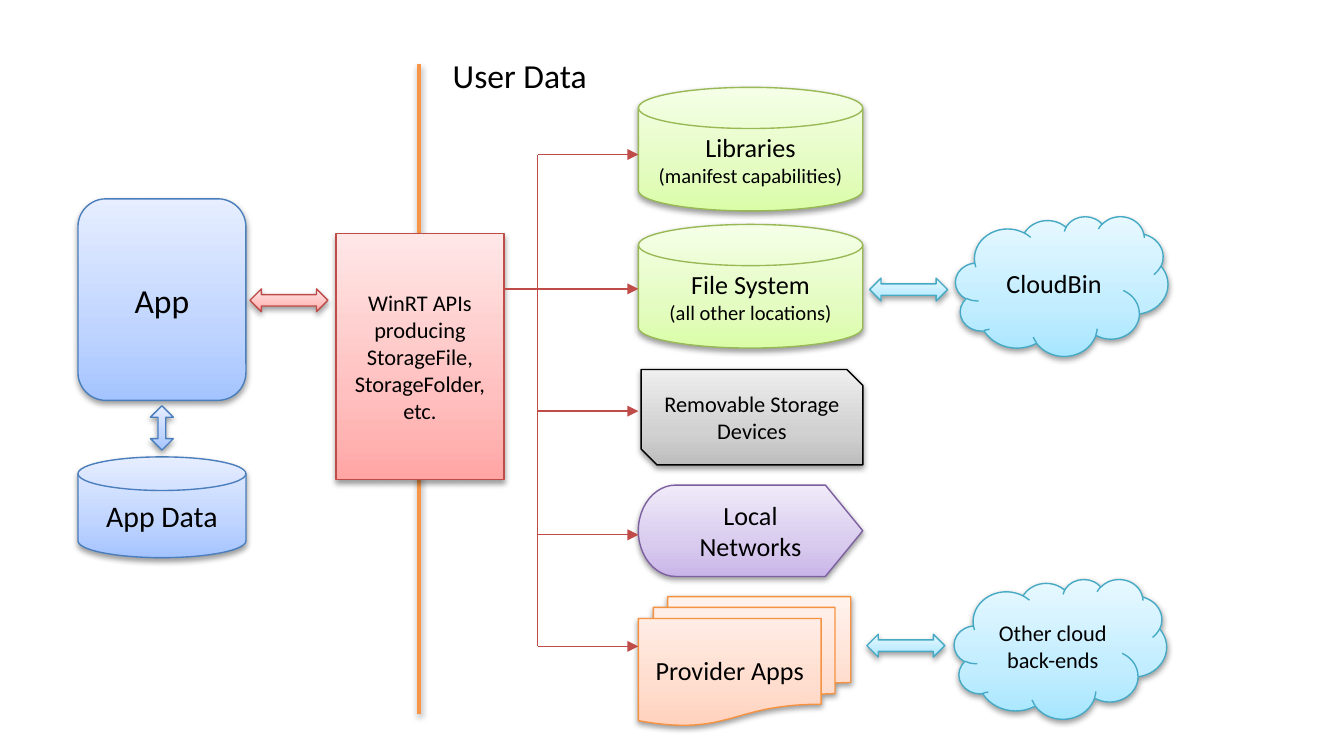
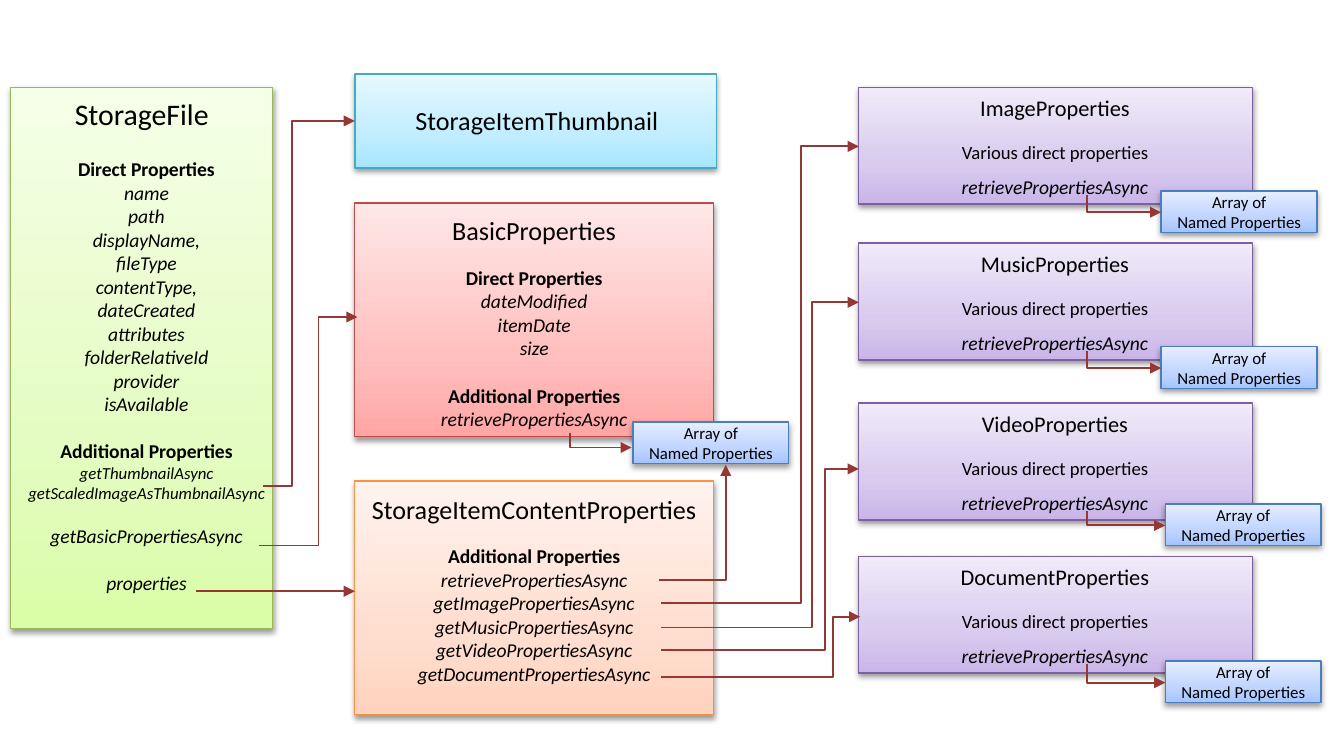
from copy import deepcopy
from dataclasses import dataclass

from lxml.etree import SubElement
from pptx import Presentation
from pptx.dml.color import RGBColor
from pptx.enum.shapes import MSO_CONNECTOR as Link, MSO_SHAPE as Kind
from pptx.enum.text import MSO_ANCHOR as Anchor, MSO_AUTO_SIZE as AutoSize, PP_ALIGN as Align
from pptx.oxml.ns import qn
from pptx.util import Cm, Pt

# Shared look: each theme holds a border and the gradient from bottom to top
FONT = "Calibri"
BLACK = RGBColor(0x00, 0x00, 0x00)
ORANGE_RULE = RGBColor(0xF7, 0x96, 0x46)
RED_LINE = RGBColor(0xBF, 0x4C, 0x48)
DARK_RED = RGBColor(0x95, 0x37, 0x35)
STOPS = (0, 0.35, 1)


def theme(border, *gradient):
    return RGBColor.from_string(border), [RGBColor.from_string(tone) for tone in gradient]


BLUE = theme("4B7EBC", "A4C4FF", "BFD4FF", "E6EEFF")
GREEN = theme("98B955", "DAFDA7", "E4FCC2", "F5FFE7")
RED = theme("BF4C48", "FFA6A5", "FFC0BF", "FFE7E7")
CYAN = theme("46AAC5", "A7E6FF", "C1EDFF", "E7F8FF")
ORANGE = theme("F69240", "FFD2BD", "FFDED0", "FFF2ED")
PURPLE = theme("7D60A0", "C9B5E8", "D8CBEE", "F0EAF9")
GREY = theme("000000", "BDBDBD", "D1D1D1", "EEEEEE")


@dataclass
class Line:
    text: str
    size: float = 10.5
    bold: bool = False
    italic: bool = False
    before: float = 0


def inches(*values):
    """Turn layout units (inches) into lengths."""
    return [Cm(value * 2.54) for value in values]


def italics(names, size=10.5):
    return [Line(name, size, italic=True) for name in names.split()]


# Text
def write(frame, lines, align=Align.CENTER):
    frame.word_wrap = True
    for index, line in enumerate(lines):
        para = frame.paragraphs[0] if index == 0 else frame.add_paragraph()
        para.text = line.text
        para.alignment = align
        para.space_before = Pt(line.before)
        font = para.runs[0].font
        font.name, font.size = FONT, Pt(line.size)
        font.bold, font.italic = line.bold, line.italic
        font.color.rgb = BLACK


def add_text(shapes, at, lines, align=Align.CENTER):
    box = shapes.add_textbox(*inches(*at))
    write(box.text_frame, lines, align)
    box.text_frame.auto_size = AutoSize.SHAPE_TO_FIT_TEXT
    return box


# Shapes
def add_shadow(effects):
    shadow = SubElement(effects, qn("a:outerShdw"), blurRad="40000", dist="20000",
                        dir="5400000", rotWithShape="0")
    color = SubElement(shadow, qn("a:srgbClr"), val="000000")
    SubElement(color, qn("a:alpha"), val="38000")


def add_block(shapes, kind, at, colors, lines=()):
    block = shapes.add_shape(kind, *inches(*at))
    border, gradient = colors
    block.fill.gradient()
    block.fill.gradient_angle = 90
    properties = block._element.spPr
    stop_list = properties.find(qn("a:gradFill")).find(qn("a:gsLst"))
    stop_list.append(deepcopy(stop_list[-1]))
    for stop, position, tone in zip(block.fill.gradient_stops, STOPS, gradient):
        stop.position = position
        stop.color.rgb = tone
    block.line.color.rgb = border
    block.line.width = Pt(0.75)
    block.shadow.inherit = False
    add_shadow(properties.find(qn("a:effectLst")))
    block.text_frame.vertical_anchor = Anchor.MIDDLE
    if lines:
        write(block.text_frame, lines)
    return block


def add_card(shapes, at, colors, *texts):
    """A grouped box with its text boxes, given as (place, lines)."""
    group = shapes.add_group_shape()
    add_block(group.shapes, Kind.RECTANGLE, at, colors)
    for place, lines in texts:
        add_text(group.shapes, place, lines)


def add_array(shapes, left, top):
    lines = [Line("Array of", 9), Line("Named Properties", 9)]
    box = add_block(shapes, Kind.RECTANGLE, (left, top, 1.16, 0.31), BLUE, lines)
    frame = box.text_frame
    frame.margin_left = frame.margin_right = frame.margin_top = frame.margin_bottom = 0


# Lines
def style_line(line, color, width, arrow):
    line.color.rgb = color
    line.width = Pt(width)
    if arrow:
        SubElement(line._get_or_add_ln(), qn("a:tailEnd"), type="triangle")


def add_line(shapes, start, end, color, width, arrow=False, shadow=False, bend=None):
    """A straight line, or an elbow that turns at the horizontal place bend."""
    kind = Link.STRAIGHT if bend is None else Link.ELBOW
    connector = shapes.add_connector(kind, *inches(*start, *end))
    style_line(connector.line, color, width, arrow)
    properties = connector._element.spPr
    effects = SubElement(properties, qn("a:effectLst"))
    if shadow:
        add_shadow(effects)
    if bend is not None:
        share = round((bend - start[0]) / (end[0] - start[0]) * 100000)
        geometry = properties.find(qn("a:prstGeom"))
        values = geometry.find(qn("a:avLst"))
        if values is None:
            values = SubElement(geometry, qn("a:avLst"))
        SubElement(values, qn("a:gd"), name="adj1", fmla=f"val {share}")


def add_corner(shapes, *points):
    """An arrow with one corner."""
    first, *others = [inches(*point) for point in points]
    builder = shapes.build_freeform(*first)
    builder.add_line_segments(others, close=False)
    corner = builder.convert_to_shape()
    corner.fill.background()
    style_line(corner.line, DARK_RED, 1, True)
    corner.shadow.inherit = False


# Slides
def build_storage_map(shapes):
    # App side
    add_block(shapes, Kind.ROUNDED_RECTANGLE, (0.58, 1.48, 1.25, 1.5), BLUE, [Line("App", 18)])
    add_block(shapes, Kind.FLOWCHART_MAGNETIC_DISK, (0.58, 3.4, 1.25, 0.75), BLUE,
              [Line("App Data", 16)])
    arrow = add_block(shapes, Kind.UP_DOWN_ARROW, (1.12, 3.02, 0.17, 0.33), BLUE)
    arrow.adjustments[1] = 0.34

    # Boundary of the user data
    add_line(shapes, (3.12, 0.48), (3.12, 5.31), ORANGE_RULE, 2, shadow=True)
    label = add_text(shapes, (3.27, 0.36, 1.21, 0.4), [Line("User Data", 18)], Align.LEFT)
    label.text_frame.word_wrap = False

    # Programming interface
    names = ("WinRT APIs", "producing StorageFile,", "StorageFolder,", "etc.")
    add_block(shapes, Kind.RECTANGLE, (2.5, 1.74, 1.25, 1.83), RED,
              [Line(name, 12) for name in names])

    # Storage places
    for top, name, detail in ((0.65, "Libraries", "(manifest capabilities)"),
                              (1.67, "File System", "(all other locations)")):
        add_block(shapes, Kind.FLOWCHART_MAGNETIC_DISK, (4.75, top, 1.67, 0.92), GREEN,
                  [Line(name, 14), Line(detail, 11)])
    add_block(shapes, Kind.SNIP_2_DIAG_RECTANGLE, (4.77, 2.75, 1.65, 0.71), GREY,
              [Line("Removable Storage", 12), Line("Devices", 12)])
    networks = add_block(shapes, Kind.FLOWCHART_DISPLAY, (4.75, 3.61, 1.67, 0.68), PURPLE,
                         [Line("Local Networks", 14)])
    networks._element.spPr.find(qn("a:xfrm")).set("flipH", "1")
    add_block(shapes, Kind.FLOWCHART_MULTIDOCUMENT, (4.75, 4.44, 1.58, 0.96), ORANGE,
              [Line("Provider Apps", 14)])

    # Clouds and two-way arrows
    add_block(shapes, Kind.CLOUD, (7.11, 1.61, 1.58, 1.04), CYAN, [Line("CloudBin", 14)])
    add_block(shapes, Kind.CLOUD, (7.1, 4.31, 1.58, 1.04), CYAN,
              [Line("Other cloud back-ends", 12)])
    for left, top, colors in ((1.86, 2.15, RED), (6.47, 2.07, CYAN), (6.45, 4.72, CYAN)):
        add_block(shapes, Kind.LEFT_RIGHT_ARROW, (left, top, 0.58, 0.17), colors)

    # Branches from the interface to the storage places
    add_line(shapes, (3.75, 2.15), (4, 2.15), RED_LINE, 0.75)
    add_line(shapes, (4, 1.15), (4, 4.81), RED_LINE, 0.75)
    for height in (1.15, 2.15, 3.06, 3.98, 4.81):
        add_line(shapes, (4, height), (4.75, height), RED_LINE, 0.75, arrow=True)


def build_property_map(shapes):
    direct = Line("Direct Properties", bold=True)
    additional = Line("Additional Properties", bold=True)
    additional_below = Line("Additional Properties", bold=True, before=12.8)

    # File object
    file_lines = [
        direct,
        *italics("name path displayName, fileType contentType, dateCreated "
                 "attributes folderRelativeId provider isAvailable"),
        additional_below,
        *italics("getThumbnailAsync getScaledImageAsThumbnailAsync", 9),
        Line("getBasicPropertiesAsync", italic=True, before=11),
        Line("properties", italic=True, before=12.8),
    ]
    add_card(shapes, (0.08, 0.65, 1.95, 4.03), GREEN,
             ((0.08, 0.66, 1.95, 0.4), [Line("StorageFile", 16)]),
             ((0.08, 1.12, 2.02, 3.18), file_lines))

    # Objects reached from the file
    add_card(shapes, (2.64, 0.55, 2.69, 0.7), CYAN,
             ((2.66, 0.73, 2.67, 0.34), [Line("StorageItemThumbnail", 14)]))
    basic_lines = [direct, *italics("dateModified itemDate size"), additional_below,
                   *italics("retrievePropertiesAsync")]
    content_lines = [additional,
                     *italics("retrievePropertiesAsync getImagePropertiesAsync "
                              "getMusicPropertiesAsync getVideoPropertiesAsync "
                              "getDocumentPropertiesAsync")]
    for top, colors, name, lines, height in (
            (1.51, RED, "BasicProperties", basic_lines, 1.34),
            (3.58, ORANGE, "StorageItemContentProperties", content_lines, 1.16)):
        add_card(shapes, (2.64, top, 2.67, 1.74), colors,
                 ((2.64, top + 0.04, 2.67, 0.34), [Line(name, 14)]),
                 ((2.64, top + 0.42, 2.67, height), lines))

    # Media properties, each with its array
    media = (("Image", 0.65, 8.64, 1.42), ("Music", 1.81, 8.64, 2.58),
             ("Video", 3, 8.67, 3.75), ("Document", 4.14, 8.67, 4.92))
    for name, top, _, _ in media:
        lines = [Line(f"{name}Properties", 12),
                 Line("Various direct properties", 10, before=11),
                 Line("retrievePropertiesAsync", italic=True, before=6)]
        add_card(shapes, (6.39, top, 2.93, 0.87), PURPLE, ((6.4, top, 2.9, 0.9), lines))
    for _, top, left, array_top in media:
        add_array(shapes, left, array_top)
        middle = array_top + 0.16
        add_corner(shapes, (8.09, top + 0.8), (8.09, middle), (left, middle))

    # Array of the basic properties
    add_array(shapes, 4.71, 3.14)
    add_corner(shapes, (4.24, 3.22), (4.24, 3.33), (4.7, 3.33))
    add_corner(shapes, (4.9, 4.32), (5.4, 4.32), (5.4, 3.46))

    # Calls that lead to other objects
    add_line(shapes, (1.46, 4.4), (2.64, 4.4), DARK_RED, 1, arrow=True)
    for start, bend, end in (((1.96, 3.62), 2.17, (2.64, 0.9)),
                             ((1.93, 4.06), 2.37, (2.66, 2.36)),
                             ((4.92, 4.49), 5.96, (6.39, 1.09)),
                             ((4.92, 4.67), 6.04, (6.39, 2.25)),
                             ((4.92, 4.84), 6.14, (6.39, 3.49)),
                             ((4.92, 5.04), 6.2, (6.4, 4.59))):
        add_line(shapes, start, end, DARK_RED, 1, arrow=True, bend=bend)


def main():
    deck = Presentation()
    deck.slide_width, deck.slide_height = Cm(25.4), Cm(14.29)
    blank = deck.slide_layouts[6]
    for build in (build_storage_map, build_property_map):
        build(deck.slides.add_slide(blank).shapes)
    deck.save("out.pptx")


main()
